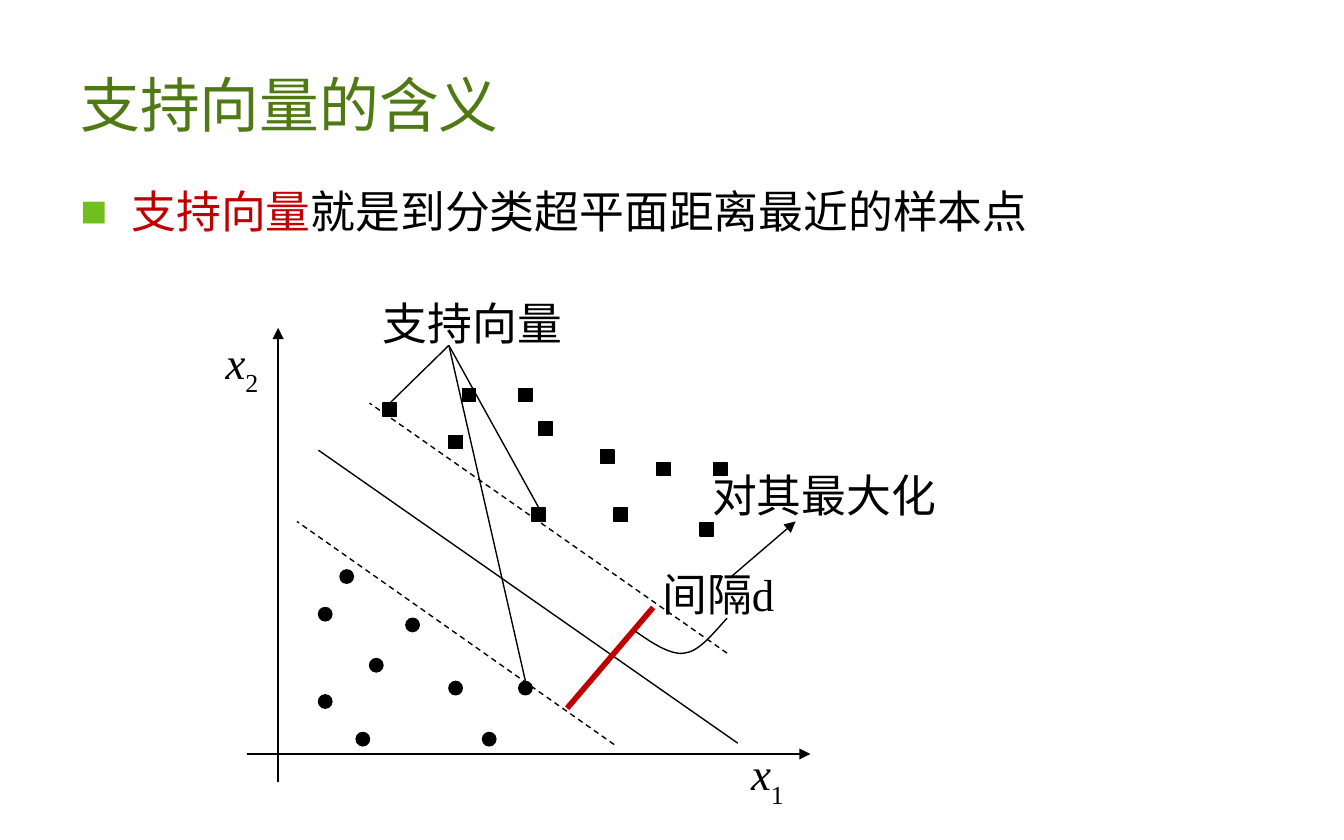
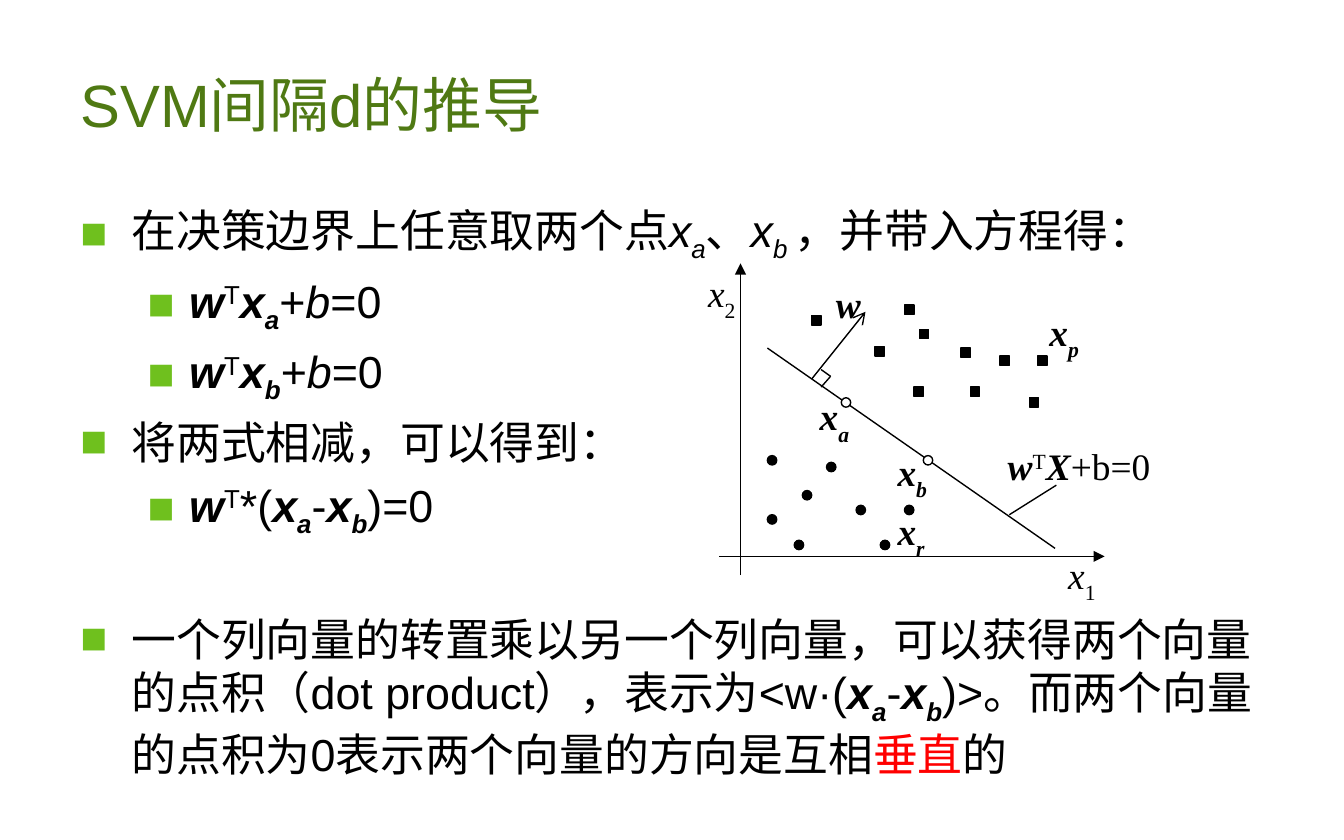
import pptx
import pptx.dml.color
import pptx.enum.dml
import pptx.enum.shapes
import pptx.enum.text
import pptx.oxml.ns
import pptx.util
from lxml import etree
from pptx.util import Inches

COLORS = {
    "title": "4F7913",
    "bullet": "6FC01E",
    "ink": "000000",
    "paper": "FFFFFF",
    "accent": "C00000",
    "alert": "FF0000",
}
BODY_FONT = "Arial"
DIAGRAM_FONT = "Times New Roman"
SQUARE = pptx.enum.shapes.MSO_SHAPE.RECTANGLE
DOT = pptx.enum.shapes.MSO_SHAPE.OVAL
TOP_SITE = 0
INDENTS = [(0.38, -0.38), (0.81, -0.31)]
BULLET_GAP = 5


def rgb(name):
    return pptx.dml.color.RGBColor.from_string(COLORS[name])


def add_xml(parent, tag, **attributes):
    return etree.SubElement(parent, pptx.oxml.ns.qn(tag), **attributes)


def add_runs(paragraph, runs, font, size, color="ink", shift=25):
    """Runs are (text, marks[, color]); marks: b bold, i italic, _ sub, ^ super."""
    for text, marks, *own_color in runs:
        run = paragraph.add_run()
        run.text = text
        run.font.name = font
        run.font.size = pptx.util.Pt(size)
        run.font.bold = "b" in marks
        run.font.italic = "i" in marks
        run.font.color.rgb = rgb(own_color[0] if own_color else color)
        if "_" in marks:
            run._r.get_or_add_rPr().set("baseline", str(-shift * 1000))
        elif "^" in marks:
            run._r.get_or_add_rPr().set("baseline", "30000")


def add_text_frame(shapes, left, top, width, height):
    box = shapes.add_textbox(Inches(left), Inches(top), Inches(width), Inches(height))
    box.text_frame.word_wrap = True
    return box.text_frame


def add_title(slide, text):
    frame = add_text_frame(slide.shapes, 0.5, 0.25, 9, 1.04)
    frame.vertical_anchor = pptx.enum.text.MSO_ANCHOR.MIDDLE
    add_runs(frame.paragraphs[0], [(text, "")], BODY_FONT, 32, "title")


def add_bullets(slide, top, items):
    """Items are (level, space before in points, runs)."""
    frame = add_text_frame(slide.shapes, 0.5, top, 9, 4.12)
    for number, (level, gap, runs) in enumerate(items):
        paragraph = frame.add_paragraph() if number else frame.paragraphs[0]
        paragraph.level = level
        paragraph.space_before = pptx.util.Pt(gap)
        margin, indent = INDENTS[level]
        properties = paragraph._p.get_or_add_pPr()
        properties.set("marL", str(Inches(margin)))
        properties.set("indent", str(Inches(indent)))
        bullet_color = add_xml(properties, "a:buClr")
        add_xml(bullet_color, "a:srgbClr", val=COLORS["bullet"])
        add_xml(properties, "a:buFont", typeface=BODY_FONT)
        add_xml(properties, "a:buChar", char="■")
        add_runs(paragraph, runs, BODY_FONT, 24)


def add_label(diagram, left, top, width, height, runs, size):
    frame = add_text_frame(diagram, left, top, width, height)
    add_runs(frame.paragraphs[0], runs, DIAGRAM_FONT, size, shift=30)


def add_line(diagram, start, end, color="ink", weight=0.75, dashed=False, arrow=None):
    line = diagram.add_connector(
        pptx.enum.shapes.MSO_CONNECTOR.STRAIGHT, *map(Inches, start + end))
    line.line.color.rgb = rgb(color)
    line.line.width = pptx.util.Pt(weight)
    if dashed:
        line.line.dash_style = pptx.enum.dml.MSO_LINE.DASH
    if arrow:
        add_xml(line.line._get_or_add_ln(), "a:tailEnd", type=arrow)
    add_xml(line._element.spPr, "a:effectLst")
    return line


def add_samples(diagram, kind, size, corners, fill="ink"):
    samples = []
    for left, top in corners:
        sample = diagram.add_shape(
            kind, Inches(left), Inches(top), Inches(size), Inches(size))
        sample.shadow.inherit = False
        sample.fill.solid()
        sample.fill.fore_color.rgb = rgb(fill)
        sample.line.color.rgb = rgb("ink")
        sample.line.width = pptx.util.Pt(0.75)
        samples.append(sample)
    return samples


def add_curve(diagram, start, controls):
    """Draw cubic curves; every three controls make one segment."""
    builder = diagram.build_freeform(*map(Inches, start), scale=1.0)
    builder.add_line_segments(
        [(Inches(x), Inches(y)) for x, y in controls], close=False)
    curve = builder.convert_to_shape()
    curve.shadow.inherit = False
    curve.fill.background()
    curve.line.color.rgb = rgb("ink")
    curve.line.width = pptx.util.Pt(0.75)
    steps = curve._element.xpath(".//a:lnTo")
    outline = steps[0].getparent()
    for first in range(0, len(steps), 3):
        segment = add_xml(outline, "a:cubicBezTo")
        for step in steps[first:first + 3]:
            segment.append(step[0])
            outline.remove(step)


def add_axes(diagram, left, right, base, axis_x, bottom, top):
    add_line(diagram, (left, base), (right, base), arrow="triangle")
    add_line(diagram, (axis_x, bottom), (axis_x, top), arrow="triangle")


def axis_name(index):
    return [("x", "i"), (index, "_")]


def vector(index):
    return [("x", "bi"), (index, "bi_")]


def weight_transposed():
    return [("w", "bi"), ("T", "^")]


def boundary_equation(index):
    return weight_transposed() + vector(index) + [("+", ""), ("b", "i"), ("=0", "")]


def difference():
    return vector("a") + [("-", "")] + vector("b")


def build_meaning_slide(slide):
    add_title(slide, "支持向量的含义")
    add_bullets(slide, 1.32, [
        (0, BULLET_GAP, [("支持向量", "", "accent"),
                         ("就是到分类超平面距离最近的样本点", "")]),
    ])

    diagram = slide.shapes.add_group_shape().shapes
    add_axes(diagram, 1.84, 6.03, 5.61, 2.07, 5.82, 2.44)
    add_samples(diagram, DOT, 0.1, [
        (2.37, 5.17), (2.65, 5.45), (2.37, 4.52), (2.75, 4.9),
        (3.59, 5.45), (3.34, 5.07), (2.53, 4.24), (3.02, 4.6)])
    add_samples(diagram, SQUARE, 0.1, [
        (4.89, 3.44), (4.47, 3.35), (5.21, 3.89), (3.86, 2.89), (4.57, 3.78),
        (5.31, 3.44), (3.34, 3.24), (4.01, 3.14), (3.44, 2.89)])
    support_vectors = add_samples(diagram, SQUARE, 0.1, [(2.85, 3), (3.96, 3.78)])
    support_vectors += add_samples(diagram, DOT, 0.1, [(3.86, 5.07)])

    add_line(diagram, (4.57, 5.54), (2.21, 3.88), dashed=True)
    add_line(diagram, (5.41, 4.86), (2.75, 3), dashed=True)
    add_line(diagram, (2.37, 3.35), (5.49, 5.53))
    add_line(diagram, (4.22, 5.27), (4.86, 4.52), "accent", 3)
    add_curve(diagram, (5.41, 4.6), [
        (5.3, 4.72), (5.2, 4.85), (5.09, 4.86),
        (4.97, 4.88), (4.78, 4.73), (4.73, 4.7)])
    for support_vector in support_vectors:
        pointer = add_line(diagram, (3.34, 2.57), (3.34, 3))
        pointer.end_connect(support_vector, TOP_SITE)
    add_line(diagram, (5.43, 4.3), (5.92, 3.88), arrow="triangle")

    for left, top, width, runs in [
        (5.49, 5.5, 0.63, axis_name("1")),
        (1.58, 2.44, 0.63, axis_name("2")),
        (4.83, 4.17, 1.9, [("间隔d", "")]),
        (2.75, 2.15, 1.72, [("支持向量", "")]),
        (5.2, 3.43, 2.09, [("对其最大化", "")]),
    ]:
        add_label(diagram, left, top, width, 0.53, runs, 24)


def build_derivation_slide(slide):
    add_title(slide, "SVM间隔d的推导")
    add_bullets(slide, 1.46, [
        (0, BULLET_GAP, [("在决策边界上任意取两个点", ""), ("x", "i"), ("a", "i_"),
                         ("、", ""), ("x", "i"), ("b ", "i_"),
                         ("，并带入方程得：", "")]),
        (1, BULLET_GAP, boundary_equation("a")),
        (1, BULLET_GAP, boundary_equation("b")),
        (0, BULLET_GAP, [("将两式相减，可以得到：", "")]),
        (1, BULLET_GAP, weight_transposed() + [("*(", "")] + difference()
         + [(")=0", "")]),
        (0, 39, [("一个列向量的转置乘以另一个列向量，可以获得两个向量的点积"
                  "（dot product），表示为<w·(", "")] + difference()
         + [(")>。而两个向量的点积为0表示两个向量的方向是互相", ""),
            ("垂直", "", "alert"), ("的", "")]),
    ])

    diagram = slide.shapes.add_group_shape().shapes
    add_line(diagram, (5.71, 2.59), (7.85, 4.08))
    add_axes(diagram, 5.35, 8.22, 4.14, 5.51, 4.28, 1.96)
    add_samples(diagram, DOT, 0.07, [
        (5.71, 3.83), (5.91, 4.02), (5.71, 3.39), (5.97, 3.65),
        (6.55, 4.02), (6.37, 3.76), (6.15, 3.44), (6.73, 3.76)])
    add_samples(diagram, SQUARE, 0.07, [
        (6.04, 2.35), (6.8, 2.88), (7.44, 2.65), (7.15, 2.59), (7.66, 2.96),
        (6.73, 2.27), (7.22, 2.88), (7.72, 2.65), (6.84, 2.45), (6.51, 2.58)])
    add_samples(diagram, DOT, 0.07, [(6.26, 2.96), (6.87, 3.39)], "paper")

    add_line(diagram, (6.04, 2.82), (6.44, 2.32), arrow="arrow")
    right_angle = [(6.11, 2.75), (6.18, 2.8), (6.11, 2.88)]
    for start, end in zip(right_angle, right_angle[1:]):
        add_line(diagram, start, end)
    add_line(diagram, (7.86, 3.61), (7.51, 3.83))

    for left, top, width, runs in [
        (7.85, 4.06, 0.43, axis_name("1")),
        (5.17, 1.96, 0.43, axis_name("2")),
        (7.4, 3.25, 1.37, weight_transposed() + [("X", "bi"), ("+b=0", "")]),
        (6.12, 2.04, 0.29, [("w", "bi")]),
        (6, 2.88, 0.57, vector("a")),
        (6.58, 3.29, 0.57, vector("b")),
        (7.71, 2.25, 0.57, vector("p")),
        (6.58, 3.73, 0.57, vector("r")),
    ]:
        add_label(diagram, left, top, width, 0.36, runs, 20)


def main():
    presentation = pptx.Presentation()
    presentation.slide_width = Inches(10)
    presentation.slide_height = Inches(6.25)
    blank = presentation.slide_layouts[6]
    for build in (build_meaning_slide, build_derivation_slide):
        build(presentation.slides.add_slide(blank))
    presentation.save("out.pptx")


if __name__ == "__main__":
    main()
